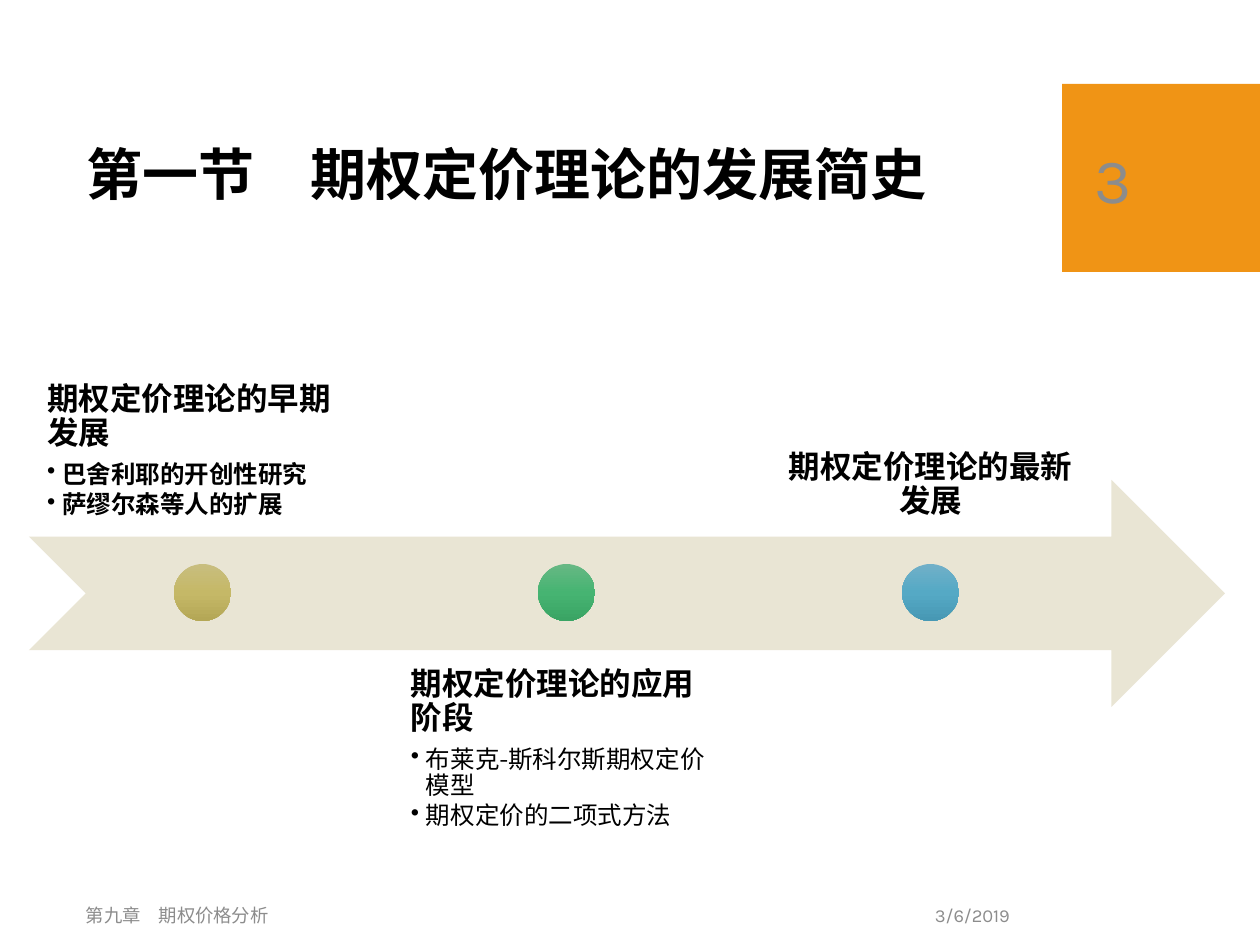
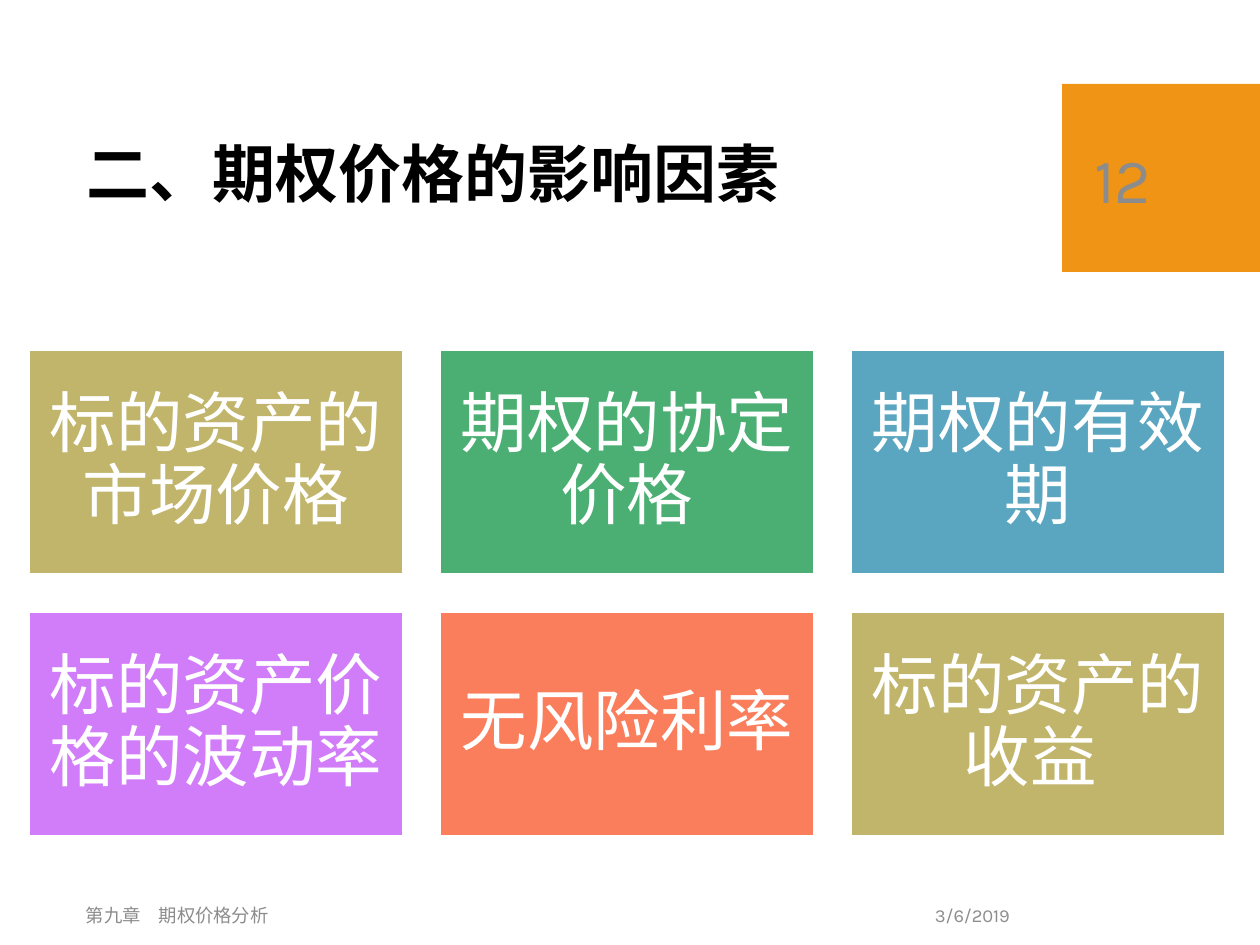
from lxml.etree import SubElement
from copy import deepcopy
from pptx import Presentation
from pptx.dml.color import RGBColor
from pptx.enum.shapes import MSO_SHAPE
from pptx.enum.text import MSO_ANCHOR, MSO_AUTO_SIZE, PP_ALIGN
from pptx.oxml.ns import qn
from pptx.util import Pt

SCALE = 914400 / 126
PAGE_WIDTH, PAGE_HEIGHT = 1260, 945
TITLE_ONLY = 5
FONT = "Karla"

BLACK = RGBColor(0x00, 0x00, 0x00)
WHITE = RGBColor(0xFF, 0xFF, 0xFF)
GREY = RGBColor(0x8C, 0x8C, 0x8C)
ORANGE = RGBColor(0xF0, 0x94, 0x15)
SAND = RGBColor(0xE9, 0xE5, 0xD4)
OLIVE = RGBColor(0xC1, 0xB5, 0x6B)
GREEN = RGBColor(0x4B, 0xAF, 0x73)
BLUE = RGBColor(0x5A, 0xA6, 0xC0)
VIOLET = RGBColor(0xD1, 0x7D, 0xF9)
CORAL = RGBColor(0xFA, 0x7E, 0x5C)
OLIVE_SHADES = (RGBColor(0xC8, 0xBE, 0x7F), RGBColor(0xC5, 0xB8, 0x67), RGBColor(0xB4, 0xA7, 0x56))
GREEN_SHADES = (RGBColor(0x67, 0xB8, 0x84), RGBColor(0x46, 0xB4, 0x72), RGBColor(0x3A, 0xA4, 0x64))
BLUE_SHADES = (RGBColor(0x71, 0xB0, 0xC8), RGBColor(0x55, 0xA9, 0xC5), RGBColor(0x47, 0x98, 0xB4))

MARGIN_LEFT = 29
CHAPTER = "第九章　期权价格分析"
DATE = "3/6/2019"

MILESTONES = [
    ("期权定价理论的早期发展", ["巴舍利耶的开创性研究", "萨缪尔森等人的扩展"],
     OLIVE_SHADES, dict(bold=True), PP_ALIGN.LEFT),
    ("期权定价理论的应用阶段", ["布莱克-斯科尔斯期权定价模型", "期权定价的二项式方法"],
     GREEN_SHADES, dict(bold=False), PP_ALIGN.LEFT),
    ("期权定价理论的最新发展", [], BLUE_SHADES, {}, PP_ALIGN.CENTER),
]
FACTORS = [
    ("标的资产的市场价格", OLIVE),
    ("期权的协定价格", GREEN),
    ("期权的有效期", BLUE),
    ("标的资产价格的波动率", VIOLET),
    ("无风险利率", CORAL),
    ("标的资产的收益 ", OLIVE),
]


def px(length):
    return round(length * SCALE)


def apply(target, values):
    for name, value in values.items():
        setattr(target, name, value)


class DeckBuilder:
    def __init__(self):
        self.deck = Presentation()
        apply(self.deck, dict(slide_width=px(PAGE_WIDTH), slide_height=px(PAGE_HEIGHT)))
        self.page = None

    def add_page(self, title, title_size, number):
        self.page = self.deck.slides.add_slide(self.deck.slide_layouts[TITLE_ONLY])
        self.shape(MSO_SHAPE.RECTANGLE, (1062, 84, 198, 188), ORANGE)
        self.title(title, title_size)
        self.text((740, 890, 283, 50), DATE, 10.5, GREY, PP_ALIGN.RIGHT)
        self.text((73, 890, 667, 50), CHAPTER, 10.5, GREY)
        self.text((1081, 103, 160, 150), number, 36, GREY)

    def frame(self, shape, anchor=MSO_ANCHOR.MIDDLE, inset=None):
        across, down = (13, 6) if inset is None else (inset, inset)
        apply(shape.text_frame, dict(
            word_wrap=True, auto_size=MSO_AUTO_SIZE.NONE, vertical_anchor=anchor,
            margin_left=px(across), margin_right=px(across),
            margin_top=px(down), margin_bottom=px(down)))
        return shape.text_frame

    def fill_para(self, para, words, size, color, font=None, **layout):
        apply(para, layout)
        span = para.add_run()
        span.text = words
        apply(span.font, dict(name=FONT, size=Pt(size)) | (font or {}))
        span.font.color.rgb = color

    def title(self, words, size):
        box = self.page.shapes.title
        apply(box, dict(left=px(73), top=px(103), width=px(950), height=px(149)))
        self.fill_para(self.frame(box).paragraphs[0], words, size, BLACK, dict(bold=True),
                       alignment=PP_ALIGN.LEFT, line_spacing=0.9)

    def text(self, place, words, size, color, alignment=PP_ALIGN.LEFT):
        box = self.page.shapes.add_textbox(*map(px, place))
        self.fill_para(self.frame(box).paragraphs[0], words, size, color, alignment=alignment)

    def shape(self, kind, place, fill=None):
        shape = self.page.shapes.add_shape(kind, *map(px, place))
        shape.shadow.inherit = False
        shape.line.fill.background()
        if fill is not None:
            shape.fill.solid()
            shape.fill.fore_color.rgb = fill
        return shape

    def dot(self, place, shades):
        dot = self.shape(MSO_SHAPE.OVAL, place)
        dot.fill.gradient()
        dot.fill.gradient_angle = 270
        stops = dot._element.spPr.find(".//" + qn("a:gsLst"))
        stops.insert(1, deepcopy(stops[0]))
        for index, (stop, shade) in enumerate(zip(dot.fill.gradient_stops, shades)):
            stop.color.rgb = shade
            stop.position = index / 2

    def milestone(self, place, anchor, heading, points, font, alignment):
        box = self.page.shapes.add_textbox(*map(px, place))
        frame = self.frame(box, anchor, 18)
        self.fill_para(frame.paragraphs[0], heading, 18, BLACK, dict(bold=True),
                       alignment=alignment, line_spacing=0.9, space_after=Pt(6.3))
        for point in points:
            para = frame.add_paragraph()
            self.fill_para(para, point, 14, BLACK, font,
                           level=1, line_spacing=0.9, space_after=Pt(2.1))
            self.bullet(para)

    def bullet(self, para):
        properties = para._p.get_or_add_pPr()
        for name, length in dict(marL=15, indent=-15).items():
            properties.set(name, str(px(length)))
        SubElement(properties, qn("a:buChar")).set("char", "•")

    def card(self, place, words, fill):
        card = self.shape(MSO_SHAPE.RECTANGLE, place, fill)
        card.line.color.rgb = WHITE
        card.line.width = Pt(1.5)
        self.fill_para(self.frame(card, inset=20).paragraphs[0], words, 38, WHITE,
                       alignment=PP_ALIGN.CENTER, line_spacing=0.9, space_after=Pt(13.3))


def build_history(builder):
    builder.add_page("第一节　期权定价理论的发展简史", 32, "3")
    builder.shape(MSO_SHAPE.NOTCHED_RIGHT_ARROW, (MARGIN_LEFT, 480, 1196, 227), SAND)
    for index, (heading, points, shades, font, alignment) in enumerate(MILESTONES):
        offset = index * 364
        below = index % 2 == 1
        top, anchor = (650, MSO_ANCHOR.TOP) if below else (310, MSO_ANCHOR.BOTTOM)
        builder.milestone((MARGIN_LEFT + offset, top, 347, 227), anchor,
                          heading, points, font, alignment)
        builder.dot((174 + offset, 564, 57, 57), shades)


def build_factors(builder):
    builder.add_page("二、期权价格的影响因素", 36, "12")
    for index, (words, fill) in enumerate(FACTORS):
        row, column = divmod(index, 3)
        builder.card((MARGIN_LEFT + column * 411, 350 + row * 262, 374, 224), words, fill)


def main():
    builder = DeckBuilder()
    build_history(builder)
    build_factors(builder)
    builder.deck.save("out.pptx")


if __name__ == "__main__":
    main()
